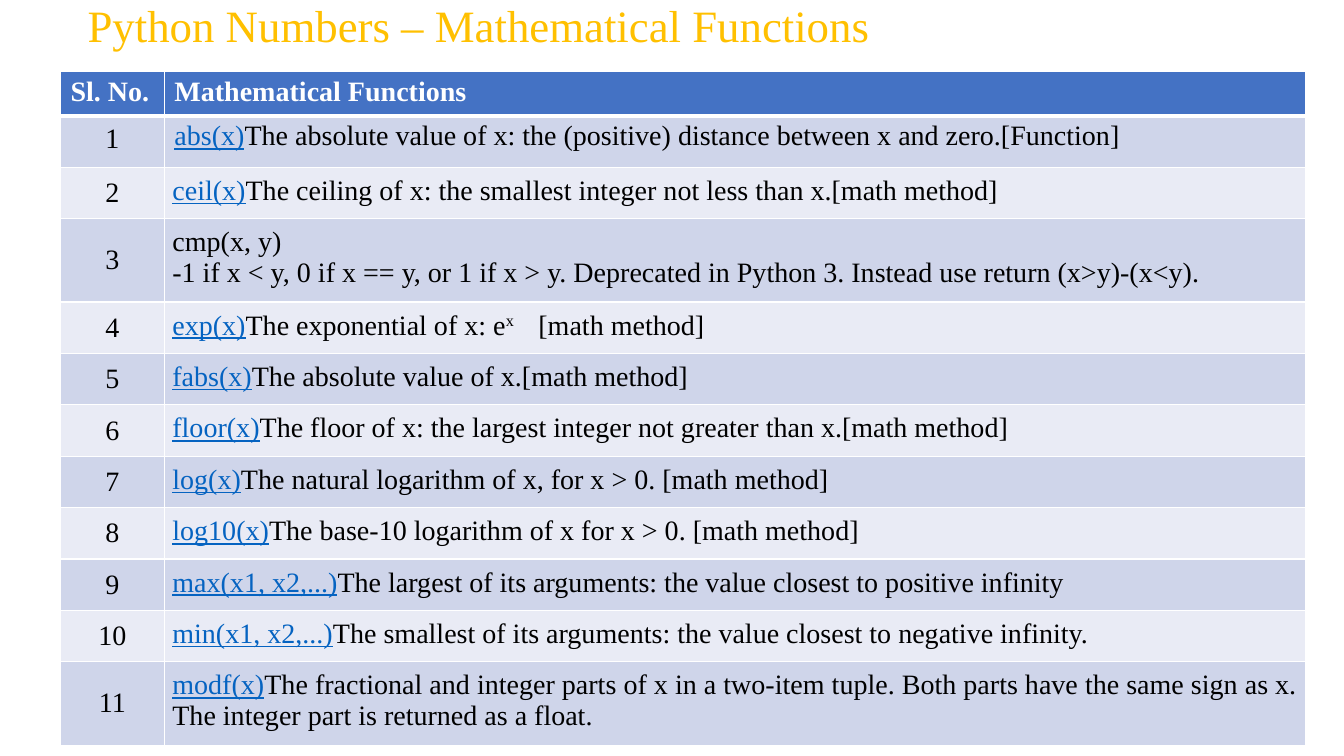
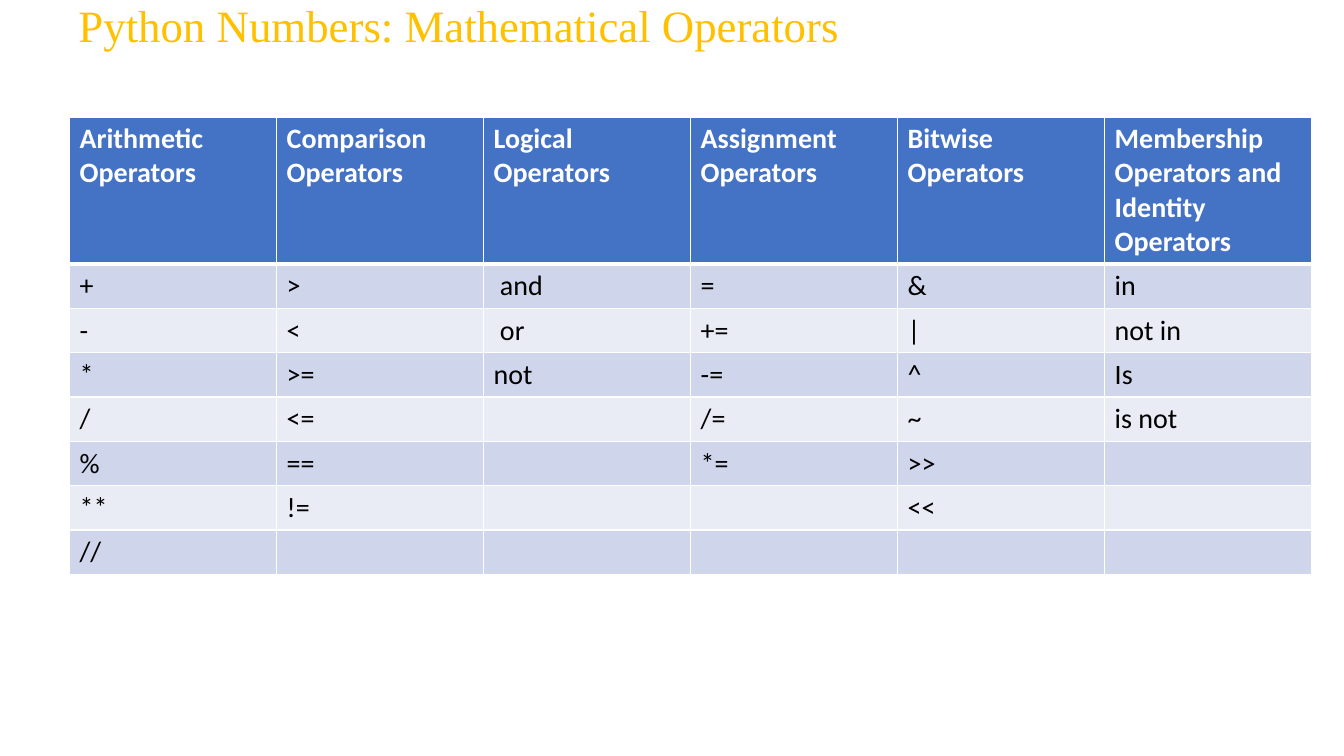
from dataclasses import dataclass

import pptx
import pptx.dml.color
import pptx.enum.text
import pptx.oxml
import pptx.oxml.ns
import pptx.util
from pptx.util import Inches

ALIGN = pptx.enum.text.PP_ALIGN
ANCHOR = pptx.enum.text.MSO_ANCHOR
PLAIN, LINK, POWER = "plain", "link", "power"


@dataclass(frozen=True)
class Theme:
    title: str = "FFC000"
    header: str = "4472C4"
    bands: tuple = ("CFD5EA", "E9EBF5")
    light: str = "FFFFFF"
    dark: str = "000000"
    link: str = "0563C1"
    serif: str = "Times New Roman"
    sans: str = "Calibri"
    title_size: int = 32
    table_size: int = 20
    rule: int = 1
    header_rule: int = 3


THEME = Theme()

FUNCTIONS = [
    [[("abs(x)", LINK), ("The absolute value of x: the (positive) distance between x and zero.[Function]", PLAIN)]],
    [[("ceil(x)", LINK), ("The ceiling of x: the smallest integer not less than x.[math method]", PLAIN)]],
    [
        [("cmp(x, y)", PLAIN)],
        [("-1 if x < y, 0 if x == y, or 1 if x > y. Deprecated in Python 3. "
          "Instead use return (x>y)-(x<y).", PLAIN)],
    ],
    [[("exp(x)", LINK), ("The exponential of x: e", PLAIN), ("x", POWER), ("\t[math method]", PLAIN)]],
    [[("fabs(x)", LINK), ("The absolute value of x.[math method]", PLAIN)]],
    [[("floor(x)", LINK), ("The floor of x: the largest integer not greater than x.[math method]", PLAIN)]],
    [[("log(x)", LINK), ("The natural logarithm of x, for x > 0. [math method]", PLAIN)]],
    [[("log10(x)", LINK), ("The base-10 logarithm of x for x > 0. [math method]", PLAIN)]],
    [[("max(x1, x2,...)", LINK),
      ("The largest of its arguments: the value closest to positive infinity", PLAIN)]],
    [[("min(x1, x2,...)", LINK),
      ("The smallest of its arguments: the value closest to negative infinity.", PLAIN)]],
    [[("modf(x)", LINK),
      ("The fractional and integer parts of x in a two-item tuple. Both parts have the same sign as x. "
       "The integer part is returned as a float.", PLAIN)]],
]

OPERATORS = [
    ["Arithmetic Operators", "Comparison Operators", "Logical Operators", "Assignment Operators",
     "Bitwise Operators", "Membership Operators and\nIdentity Operators"],
    ["+", ">", " and", "=", "&", "in"],
    ["-", "<", " or", "+=", "|", "not in"],
    ["*", ">=", "not", "-=", "^", "Is"],
    ["/", "<=", "", "/=", "~", "is not"],
    ["%", "==", "", "*=", ">>", ""],
    ["**", "!=", "", "", "<<", ""],
    ["//", "", "", "", "", ""],
]


def color(value):
    return pptx.dml.color.RGBColor.from_string(value)


def set_font(font, name, size, value, bold=False):
    font.name = name
    font.size = pptx.util.Pt(size)
    font.bold = bold
    font.color.rgb = color(value)


def plain_text(text):
    return [[(line, PLAIN)] for line in text.split("\n")]


def add_title(page, text, left, top, height):
    box = page.shapes.add_textbox(Inches(left), Inches(top), Inches(10.63), Inches(height))
    frame = box.text_frame
    frame.word_wrap = True
    frame.vertical_anchor = ANCHOR.MIDDLE
    para = frame.paragraphs[0]
    para.text = text
    para.line_spacing = 0.9
    set_font(para.font, THEME.serif, THEME.title_size, THEME.title)


def add_tab_stop(para, position):
    tabs = pptx.oxml.parse_xml(
        f'<a:tabLst {pptx.oxml.ns.nsdecls("a")}><a:tab pos="{Inches(position)}" algn="l"/></a:tabLst>')
    defaults = para.font._element
    defaults.addprevious(tabs)


def add_span(para, text, style):
    span = para.add_run()
    span.text = text
    if style == LINK:
        span.font.underline = True
        span.font.color.rgb = color(THEME.link)
    elif style == POWER:
        span.font._element.set("baseline", "30000")


def fill_cell(cell, paragraphs, font_name, is_header):
    frame = cell.text_frame
    for index, spans in enumerate(paragraphs):
        para = frame.add_paragraph() if index else frame.paragraphs[0]
        set_font(para.font, font_name, THEME.table_size,
                 THEME.light if is_header else THEME.dark, is_header)
        for text, style in spans:
            if text:
                add_span(para, text, style)
            if "\t" in text:
                add_tab_stop(para, 3.63)


def paint_cell(cell, row):
    properties = cell._tc.get_or_add_tcPr()
    widths = {
        "lnL": THEME.rule,
        "lnR": THEME.rule,
        "lnT": THEME.header_rule if row == 1 else THEME.rule,
        "lnB": THEME.header_rule if row == 0 else THEME.rule,
    }
    for side, width in widths.items():
        properties.append(pptx.oxml.parse_xml(
            f'<a:{side} {pptx.oxml.ns.nsdecls("a")} w="{pptx.util.Pt(width)}">'
            f'<a:solidFill><a:srgbClr val="{THEME.light}"/></a:solidFill></a:{side}>'))
    cell.fill.solid()
    cell.fill.fore_color.rgb = color(THEME.bands[(row - 1) % 2] if row else THEME.header)


def add_grid(page, rows, left, top, width, heights, font_name):
    frame = page.shapes.add_table(len(rows), len(rows[0]), Inches(left), Inches(top),
                                  Inches(width), Inches(sum(heights)))
    table = frame.table
    table.horz_banding = False
    for row, (contents, height) in enumerate(zip(rows, heights)):
        table.rows[row].height = Inches(height)
        for column, paragraphs in enumerate(contents):
            cell = table.cell(row, column)
            fill_cell(cell, paragraphs, font_name, row == 0)
            paint_cell(cell, row)
    return table


def set_insets(cell, inset):
    cell.margin_left = cell.margin_right = Inches(inset)
    cell.margin_top = cell.margin_bottom = Inches(inset)


def align_cell(cell, alignment):
    for para in cell.text_frame.paragraphs:
        para.alignment = alignment


def add_functions_page(page):
    add_title(page, "Python Numbers – Mathematical Functions", 0.77, 0.03, 0.5)
    rows = [[plain_text("Sl. No."), plain_text("Mathematical Functions")]]
    rows += [[plain_text(str(number)), entry] for number, entry in enumerate(FUNCTIONS, 1)]
    heights = [0.44, 0.51, 0.51, 0.8] + [0.51] * 7 + [0.79]
    table = add_grid(page, rows, 0.6, 0.71, 12.35, heights, THEME.serif)
    for column, width in zip(table.columns, (1.03, 11.32)):
        column.width = Inches(width)
    for row in range(1, len(rows)):
        number, entry = table.cell(row, 0), table.cell(row, 1)
        set_insets(number, 0.08)
        align_cell(number, ALIGN.CENTER)
        if row > 1:
            number.vertical_anchor = ANCHOR.MIDDLE
            set_insets(entry, 0.08)
            align_cell(entry, ALIGN.JUSTIFY)


def add_operators_page(page):
    add_title(page, "Python Numbers: Mathematical Operators", 0.68, 0.05, 0.45)
    rows = [[plain_text(text) for text in row] for row in OPERATORS]
    heights = [1.46] + [0.44] * (len(rows) - 1)
    add_grid(page, rows, 0.69, 1.16, 12.32, heights, THEME.sans)


def main():
    deck = pptx.Presentation()
    deck.slide_width = Inches(13.33)
    deck.slide_height = Inches(7.5)
    for build in (add_functions_page, add_operators_page):
        build(deck.slides.add_slide(deck.slide_layouts[6]))
    deck.save("out.pptx")


if __name__ == "__main__":
    main()
